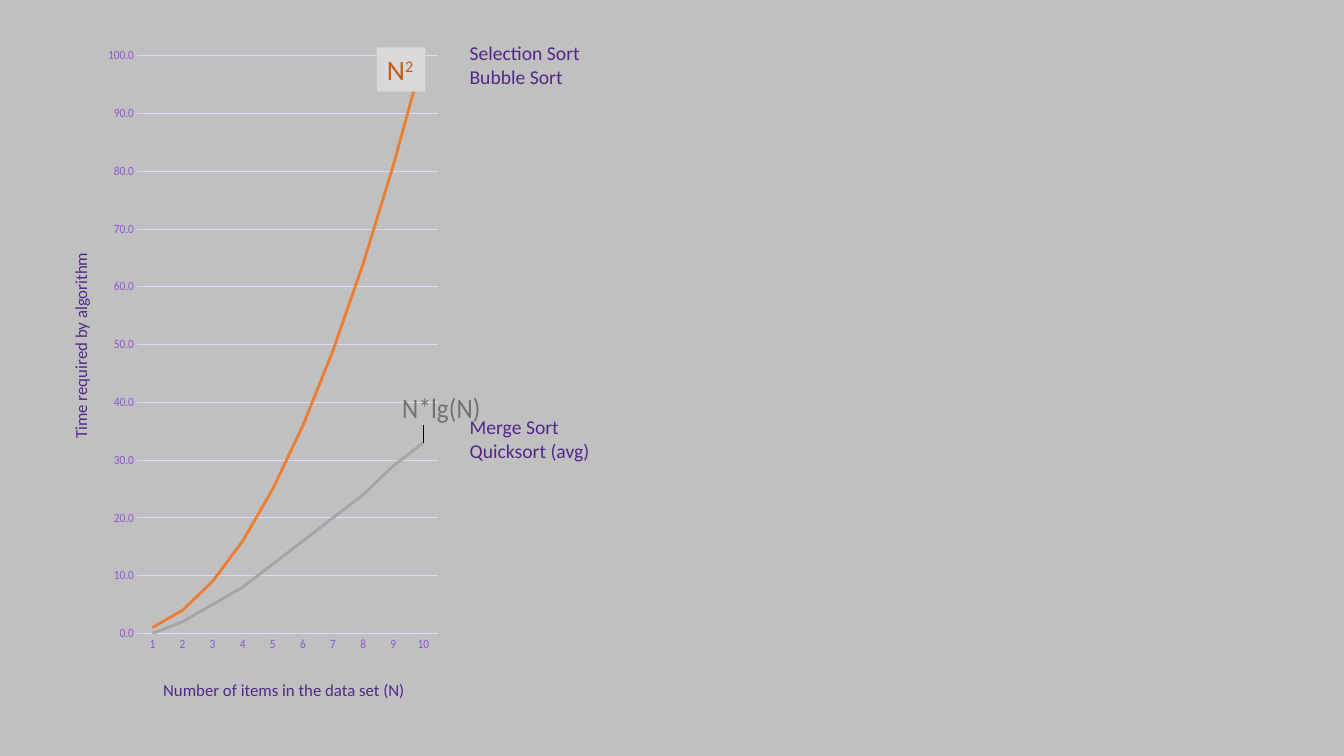
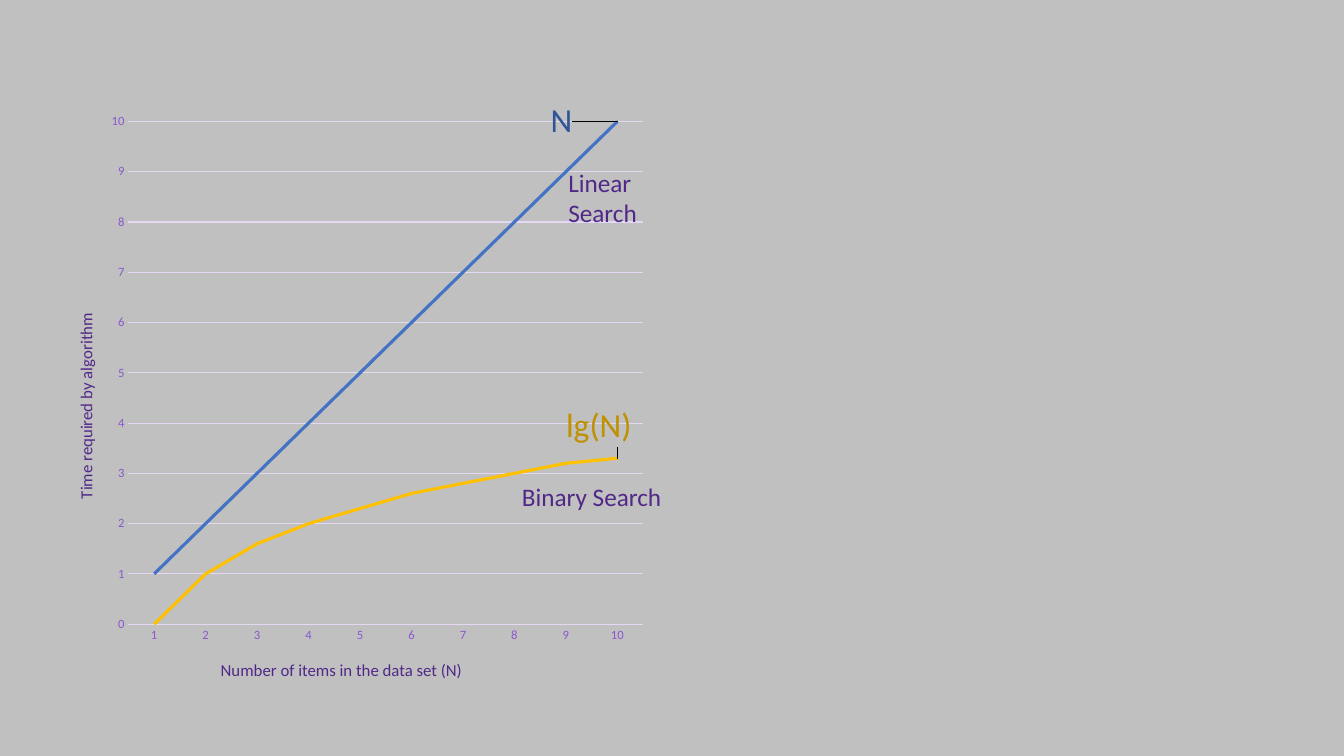
import math

import pptx
import pptx.chart.data
import pptx.dml.color
import pptx.enum.chart
import pptx.enum.shapes
import pptx.enum.text
import pptx.oxml
import pptx.oxml.ns
import pptx.util

WIDTH = pptx.util.Inches(13.33)
HEIGHT = pptx.util.Inches(7.5)
FONT = "Calibri"
BACKGROUND, PURPLE, VIOLET, LILAC = "C0C0C0", "512888", "8A57CE", "E4D8F4"
COUNTS = range(1, 11)
NAMESPACES = (
    'xmlns:c="http://schemas.openxmlformats.org/drawingml/2006/chart" '
    'xmlns:a="http://schemas.openxmlformats.org/drawingml/2006/main" '
    'xmlns:c15="http://schemas.microsoft.com/office/drawing/2012/chart"'
)


def color(value):
    return pptx.dml.color.RGBColor.from_string(value)


def place(left, top, width, height):
    """Turn percentages of the slide's size into lengths."""
    return [
        pptx.util.Emu(round(share * side / 100))
        for share, side in zip((left, top, width, height), (WIDTH, HEIGHT) * 2)
    ]


def set_font(font, size, value):
    font.name = FONT
    font.size = pptx.util.Pt(size)
    font.color.rgb = color(value)


def set_line(line, value, width):
    line.color.rgb = color(value)
    line.width = pptx.util.Pt(width)


def chart_xml(tag, content):
    return pptx.oxml.parse_xml(f"<c:{tag} {NAMESPACES}>{content}</c:{tag}>")


def manual_layout(modes="", **percents):
    """Build a layout element from percentages of the chart's size."""
    content = modes + "".join(
        f'<c:{name} val="{percent / 100:.4f}"/>' for name, percent in percents.items()
    )
    return chart_xml("layout", f"<c:manualLayout>{content}</c:manualLayout>")


def fill_text(shape, lines, size, value, wrap=False):
    """Write lines, each a list of (text, is_superscript) pairs."""
    frame = shape.text_frame
    frame.word_wrap = wrap
    frame.auto_size = pptx.enum.text.MSO_AUTO_SIZE.SHAPE_TO_FIT_TEXT
    for index, line in enumerate(lines):
        para = frame.add_paragraph() if index else frame.paragraphs[0]
        para.alignment = pptx.enum.text.PP_ALIGN.LEFT
        for text, is_superscript in line:
            run = para.add_run()
            run.text = text
            set_font(run.font, size, value)
            if is_superscript:
                run.font._element.set("baseline", "30000")


def add_label(page, box, lines, size, wrap=False, rotation=0):
    label = page.shapes.add_textbox(*place(*box))
    label.rotation = rotation
    fill_text(label, [[(line, False)] for line in lines], size, PURPLE, wrap)


def add_axis_titles(page, items_at, time_at):
    add_label(page, (*items_at, 19.65, 4), ["Number of items in the data set (N)"], 12)
    add_label(page, (*time_at, 15.45, 4), ["Time required by algorithm"], 12, rotation=270)


def add_square_badge(page, box):
    badge = page.shapes.add_shape(pptx.enum.shapes.MSO_SHAPE.RECTANGLE, *place(*box))
    badge.shadow.inherit = False
    badge.fill.solid()
    badge.fill.fore_color.rgb = color("D9D9D9")
    badge.line.fill.background()
    fill_text(badge, [[("N", False), ("2", True)]], 20, "C55A11")


def name_last_point(series, size, value, shift_x, shift_y):
    """Label the last point with the series name, moved by percentages of the chart."""
    series.data_labels.show_value = False
    label = series.points[len(COUNTS) - 1].data_label
    set_font(label.font, size, value)
    label.position = pptx.enum.chart.XL_LABEL_POSITION.RIGHT
    group = series.data_labels._element
    element = group.find(pptx.oxml.ns.qn("c:dLbl"))
    element.find(pptx.oxml.ns.qn("c:idx")).addnext(manual_layout(x=shift_x, y=shift_y))
    for tag, shown in (("c:showVal", "0"), ("c:showSerName", "1")):
        element.find(pptx.oxml.ns.qn(tag)).set("val", shown)
    group.append(chart_xml(
        "extLst",
        '<c:ext uri="{CE6537A1-D6FC-4f65-9D91-7224C49458BB}">'
        '<c15:showLeaderLines val="1"/></c:ext>',
    ))


def style_axes(chart, maximum, number_format):
    for axis in (chart.category_axis, chart.value_axis):
        axis.major_tick_mark = pptx.enum.chart.XL_TICK_MARK.NONE
        axis.minor_tick_mark = pptx.enum.chart.XL_TICK_MARK.NONE
        set_font(axis.tick_labels.font, 9, VIOLET)
    set_line(chart.category_axis.format.line, LILAC, 0.75)
    values = chart.value_axis
    values.minimum_scale, values.maximum_scale = 0, maximum
    values.major_unit = maximum / 10
    values.has_major_gridlines = True
    set_line(values.major_gridlines.format.line, LILAC, 0.75)
    values.format.line.fill.background()
    values.tick_labels.number_format = number_format
    values.tick_labels.number_format_is_linked = False


def clear_backgrounds(chart):
    empty = "<a:noFill/><a:ln><a:noFill/></a:ln>"
    chart_element = chart._chartSpace.chart
    chart_element.addnext(chart_xml("spPr", empty))
    chart_element.plotArea.append(chart_xml("spPr", empty))


def set_plot_area(chart, left, top, width, height):
    area = chart._chartSpace.chart.plotArea
    for layout in area.findall(pptx.oxml.ns.qn("c:layout")):
        area.remove(layout)
    modes = '<c:layoutTarget val="inner"/><c:xMode val="edge"/><c:yMode val="edge"/>'
    area.insert(0, manual_layout(modes, x=left, y=top, w=width, h=height))


def add_growth_chart(page, box, curves, maximum, number_format, plot_area):
    """Draw curves, each a (name, values, colour, label settings or None) tuple."""
    data = pptx.chart.data.CategoryChartData()
    data.categories = [str(count) for count in COUNTS]
    for name, values, _, _ in curves:
        data.add_series(name, values)
    chart = page.shapes.add_chart(
        pptx.enum.chart.XL_CHART_TYPE.LINE, *place(*box), data
    ).chart
    chart.has_title = False
    chart.has_legend = False
    set_font(chart.font, 10, PURPLE)
    style_axes(chart, maximum, number_format)
    clear_backgrounds(chart)
    set_plot_area(chart, *plot_area)
    chart.plots[0].vary_by_categories = False
    for series, (_, _, value, label) in zip(chart.plots[0].series, curves):
        series.smooth = False
        series.marker.style = pptx.enum.chart.XL_MARKER_STYLE.NONE
        set_line(series.format.line, value, 2.25)
        if label:
            name_last_point(series, *label)


def add_sorting_page(page):
    curves = [
        ("Series 1", [count ** 2 for count in COUNTS], "ED7D31", None),
        ("N*lg(N)", [round(count * math.log2(count)) for count in COUNTS],
         "A5A5A5", (20, "767171", -7.3, -5.5)),
    ]
    add_growth_chart(page, (7.5, 4.8, 28.28, 83.2), curves, 100, "0.0",
                     (10.75, 3.1, 88.5, 91.85))
    add_label(page, (34.2, 4.8, 9.83, 7.6), ["Selection Sort", "Bubble Sort"], 14)
    add_label(page, (34.2, 54.27, 10.5, 7.6), ["Merge Sort", "Quicksort (avg)"], 14)
    add_axis_titles(page, (11.4, 89.2), (-1.73, 43.6))
    add_square_badge(page, (28.05, 6.27, 3.6, 5.87))


def add_searching_page(page):
    curves = [
        ("N", list(COUNTS), "4472C4", (24, "2F5597", -12.8, 0)),
        ("lg(N)", [round(math.log2(count), 1) for count in COUNTS],
         "FFC000", (24, "BF9000", -10, -5.7)),
    ]
    add_growth_chart(page, (7.5, 13.33, 41.18, 73.2), curves, 10, "General",
                     (5, 3.75, 93, 90.85))
    add_label(page, (38.1, 63.07, 12, 5.33), ["Binary Search"], 18)
    add_label(page, (41.55, 21.47, 7.13, 9.47), ["Linear Search"], 18, wrap=True)
    add_axis_titles(page, (15.68, 86.67), (-1.35, 51.6))


def main():
    deck = pptx.Presentation()
    deck.slide_width, deck.slide_height = WIDTH, HEIGHT
    background = deck.slide_master.background.fill
    background.solid()
    background.fore_color.rgb = color(BACKGROUND)
    blank = deck.slide_layouts[6]
    for fill_page in (add_sorting_page, add_searching_page):
        fill_page(deck.slides.add_slide(blank))
    deck.save("out.pptx")


if __name__ == "__main__":
    main()
